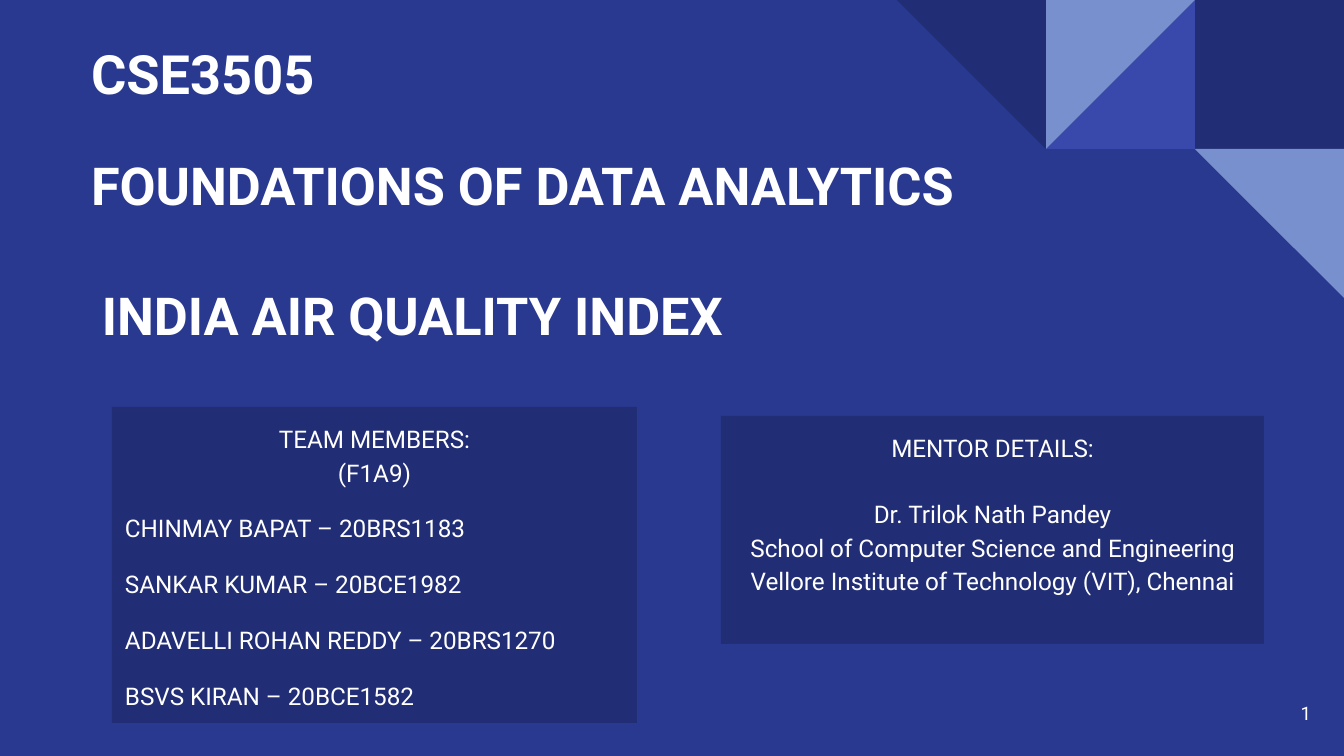
from pptx import Presentation
from pptx.dml.color import RGBColor
from pptx.enum.shapes import MSO_SHAPE
from pptx.enum.text import MSO_ANCHOR, PP_ALIGN
from pptx.util import Pt

EMU_PER_PX = 914400 / 134.4
WIDTH, HEIGHT = 1344, 756
TILE = 149
INSET = 13

BACKGROUND = "2A3990"
NAVY = "212D74"
INDIGO = "3949AB"
SKY = "7890CD"
WHITE = "FFFFFF"

CENTERED = {"alignment": PP_ALIGN.CENTER, "line_spacing": 1.15}
MEMBER = {"line_spacing": 1.15, "space_before": Pt(12)}
AFTER_GAP = {**CENTERED, "space_before": Pt(17.5)}

# Shape, columns from the right edge, row, rotation, colour
TILES = [
    (MSO_SHAPE.RECTANGLE, 1, 0, 0, NAVY),
    (MSO_SHAPE.RIGHT_TRIANGLE, 2, 0, 270, INDIGO),
    (MSO_SHAPE.RIGHT_TRIANGLE, 2, 0, 90, SKY),
    (MSO_SHAPE.RIGHT_TRIANGLE, 3, 0, 180, NAVY),
    (MSO_SHAPE.RIGHT_TRIANGLE, 1, 1, 180, SKY),
]

TEAM = [
    ("TEAM MEMBERS:", CENTERED),
    ("(F1A9)", CENTERED),
    ("CHINMAY BAPAT – 20BRS1183", MEMBER),
    ("SANKAR KUMAR – 20BCE1982", MEMBER),
    ("ADAVELLI ROHAN REDDY – 20BRS1270", MEMBER),
    ("BSVS KIRAN – 20BCE1582", {**MEMBER, "space_after": Pt(12)}),
]

MENTOR = [
    ("MENTOR DETAILS:", CENTERED),
    ("Dr. Trilok Nath Pandey", AFTER_GAP),
    ("School of Computer Science and Engineering", CENTERED),
    ("Vellore Institute of Technology (VIT), Chennai", CENTERED),
]


def px(length):
    return round(length * EMU_PER_PX)


def color(hex_string):
    return RGBColor.from_string(hex_string)


def set_attributes(target, values):
    for name, value in values.items():
        setattr(target, name, value)


def add_block(slide, kind, box, fill):
    shape = slide.shapes.add_shape(kind, *map(px, box))
    shape.shadow.inherit = False
    shape.fill.solid()
    shape.fill.fore_color.rgb = color(fill)
    shape.line.fill.background()
    return shape


def write_lines(shape, lines, size, bold=False, **frame_values):
    """Fill the shape with (text, paragraph format) pairs."""
    frame = shape.text_frame
    margins = {f"margin_{side}": px(INSET) for side in ("left", "top", "right", "bottom")}
    anchor = {"word_wrap": True, "vertical_anchor": MSO_ANCHOR.TOP}
    set_attributes(frame, {**margins, **anchor, **frame_values})
    for index, (text, paragraph_values) in enumerate(lines):
        paragraph = frame.add_paragraph() if index else frame.paragraphs[0]
        set_attributes(paragraph, {"alignment": PP_ALIGN.LEFT, **paragraph_values})
        run = paragraph.add_run()
        run.text = text
        set_attributes(run.font, {"name": "Roboto", "size": Pt(size), "bold": bold})
        run.font.color.rgb = color(WHITE)


def add_text(slide, box, text, size, bold=False, alignment=PP_ALIGN.LEFT, **frame_values):
    shape = slide.shapes.add_textbox(*map(px, box))
    write_lines(shape, [(text, {"alignment": alignment})], size, bold, **frame_values)


def add_panel(slide, box, lines):
    write_lines(add_block(slide, MSO_SHAPE.RECTANGLE, box, NAVY), lines, 13)


def add_corner_tiles(slide):
    for kind, column, row, rotation, fill in TILES:
        box = (WIDTH - column * TILE, row * TILE, TILE, TILE)
        add_block(slide, kind, box, fill).rotation = rotation


def main():
    presentation = Presentation()
    set_attributes(presentation, {"slide_width": px(WIDTH), "slide_height": px(HEIGHT)})
    slide = presentation.slides.add_slide(presentation.slide_layouts[6])
    slide.background.fill.solid()
    slide.background.fill.fore_color.rgb = color(BACKGROUND)

    add_corner_tiles(slide)
    add_text(slide, (67, 242, 1208, 124), "INDIA AIR QUALITY INDEX", 28, True,
             vertical_anchor=MSO_ANCHOR.BOTTOM, margin_left=px(35), margin_bottom=px(20))
    add_text(slide, (78, 27, 399, 93), "CSE3505", 29, True)
    add_text(slide, (78, 140, 978, 90), "FOUNDATIONS OF DATA ANALYTICS", 28, True)
    add_panel(slide, (112, 407, 525, 316), TEAM)
    add_panel(slide, (721, 416, 543, 228), MENTOR)
    add_text(slide, (1243, 684, 81, 58), "1", 10, alignment=PP_ALIGN.RIGHT,
             vertical_anchor=MSO_ANCHOR.MIDDLE)
    presentation.save("out.pptx")


if __name__ == "__main__":
    main()
